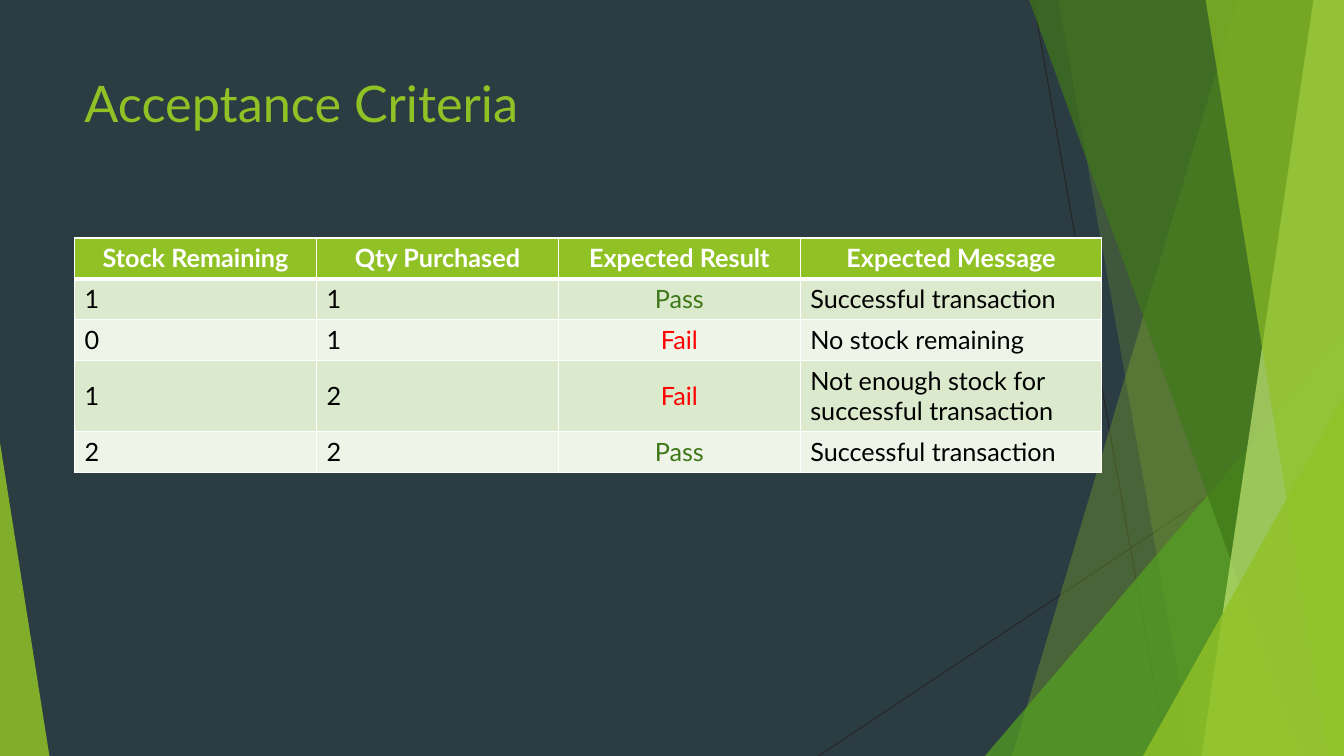
import dataclasses
import pptx
import pptx.dml.color
import pptx.enum.shapes
import pptx.enum.text
import pptx.oxml
import pptx.oxml.ns
import pptx.util

FONT = "Lato"
COLORS = {
    "back": "2C3C43", "lime": "90C226", "leaf": "54A021", "moss": "3F7819",
    "pale": "C0E474", "ink": "262626", "white": "FFFFFF", "black": "000000",
    "red": "FF0000", "odd": "DBE9CD", "even": "EEF4E8",
}
# Table: widths and heights are percent of the slide
WIDTHS = [18, 18, 18, 22.43]
HEIGHTS = [5.4, 5.4, 5.4, 9.4, 5.4]
ROWS = [
    ("Stock Remaining", "Qty Purchased", "Expected Result", "Expected Message"),
    ("1", "1", "Pass", "Successful transaction"),
    ("0", "1", "Fail", "No stock remaining"),
    ("1", "2", "Fail", "Not enough stock for successful transaction"),
    ("2", "2", "Pass", "Successful transaction"),
]
RESULTS = {"Pass": "moss", "Fail": "red"}


@dataclasses.dataclass
class Line:
    start: tuple[float, float]
    end: tuple[float, float]


@dataclasses.dataclass
class Band:
    """Full-height band from a slanted left edge to the right edge."""
    top: float
    foot: float
    color: str
    alpha: int


@dataclasses.dataclass
class Spike:
    """Triangle on the bottom edge, with its peak at one side."""
    left: float
    top: float
    width: float
    peak: float
    color: str
    alpha: int


# Back to front, in percent of the slide
DECOR = [
    Line((76.88, 0), (86.85, 100)),
    Line((100, 53.73), (60.9, 100)),
    Band(92.1, 75.3, "lime", 30),
    Band(78.75, 88.73, "lime", 20),
    Spike(73.28, 44.4, 26.72, 1, "leaf", 72),
    Band(76.58, 96.83, "moss", 70),
    Band(97.73, 89.4, "pale", 70),
    Band(89.7, 98.85, "lime", 65),
    Spike(85.05, 52.4, 14.95, 1, "lime", 80),
    Spike(0, 58.53, 3.68, 0, "lime", 85),
]

deck = pptx.Presentation()
deck.slide_width = pptx.util.Inches(13.33)
deck.slide_height = pptx.util.Inches(7.5)
slide = deck.slides.add_slide(deck.slide_layouts[6])
shapes = slide.shapes


def across(share: float) -> int:
    return round(deck.slide_width * share / 100)


def down(share: float) -> int:
    return round(deck.slide_height * share / 100)


def tint(name: str) -> pptx.dml.color.RGBColor:
    return pptx.dml.color.RGBColor.from_string(COLORS[name])


def paint(fill, color: str) -> None:
    fill.solid()
    fill.fore_color.rgb = tint(color)


def style(para, size: int, color: str, bold: bool = False) -> None:
    for run in para.runs:
        run.font.name = FONT
        run.font.size = pptx.util.Pt(size)
        run.font.bold = bold
        run.font.color.rgb = tint(color)


def glaze(shape, color: str, alpha: int) -> None:
    shape.shadow.inherit = False
    shape.line.fill.background()
    paint(shape.fill, color)
    node = shape.fill._xPr.find(".//" + pptx.oxml.ns.qn("a:srgbClr"))
    pptx.oxml.ns.qn("a:alpha")
    child = node.makeelement(pptx.oxml.ns.qn("a:alpha"), {"val": str(alpha * 1000)})
    node.append(child)


def draw_line(item: Line) -> None:
    line = shapes.add_connector(
        pptx.enum.shapes.MSO_CONNECTOR.STRAIGHT,
        across(item.start[0]), down(item.start[1]),
        across(item.end[0]), down(item.end[1]))
    line.line.color.rgb = tint("ink")
    line.line.width = pptx.util.Pt(0.75)
    props = line._element.spPr
    props.append(props.makeelement(pptx.oxml.ns.qn("a:effectLst"), {}))


def draw_band(item: Band) -> None:
    pen = shapes.build_freeform(across(item.top), 0)
    pen.add_line_segments([
        (across(100), 0), (across(100), down(100)), (across(item.foot), down(100))])
    glaze(pen.convert_to_shape(), item.color, item.alpha)


def draw_spike(item: Spike) -> None:
    shape = shapes.add_shape(
        pptx.enum.shapes.MSO_SHAPE.ISOSCELES_TRIANGLE,
        across(item.left), down(item.top), across(item.width), down(100 - item.top))
    shape.adjustments[0] = item.peak
    glaze(shape, item.color, item.alpha)


def edge(cell, side: str, width: float) -> None:
    space = pptx.oxml.ns.nsdecls("a")
    line = pptx.oxml.parse_xml(
        f'<a:{side} {space} w="{pptx.util.Pt(width)}"><a:solidFill>'
        f'<a:srgbClr val="{COLORS["white"]}"/></a:solidFill></a:{side}>')
    cell._tc.get_or_add_tcPr().append(line)


def draw_cell(cell, text: str, row: int) -> None:
    head = row == 0
    # Borders come before the fill in the cell's XML
    for side in ("lnL", "lnR", "lnT", "lnB"):
        thick = (head and side == "lnB") or (row == 1 and side == "lnT")
        edge(cell, side, 3 if thick else 1)
    paint(cell.fill, "lime" if head else "odd" if row % 2 else "even")
    cell.text_frame.text = text
    cell.vertical_anchor = (
        pptx.enum.text.MSO_ANCHOR.TOP if head else pptx.enum.text.MSO_ANCHOR.MIDDLE)
    para = cell.text_frame.paragraphs[0]
    if head or text in RESULTS:
        para.alignment = pptx.enum.text.PP_ALIGN.CENTER
    style(para, 18, "white" if head else RESULTS.get(text, "black"), head)


# Background and side decor
paint(slide.background.fill, "back")
DRAW = {Line: draw_line, Band: draw_band, Spike: draw_spike}
for item in DECOR:
    DRAW[type(item)](item)

# Title
title = shapes.add_textbox(across(5.55), down(8.93), across(70.5), down(19.2))
title.text_frame.word_wrap = True
title.text_frame.text = "Acceptance Criteria"
style(title.text_frame.paragraphs[0], 36, "lime")

# Table of cases
table = shapes.add_table(
    len(ROWS), len(WIDTHS), across(5.55), down(31.47),
    across(sum(WIDTHS)), down(sum(HEIGHTS))).table
for column, width in zip(table.columns, WIDTHS):
    column.width = across(width)
for index, (height, texts) in enumerate(zip(HEIGHTS, ROWS)):
    table.rows[index].height = down(height)
    for place, text in enumerate(texts):
        draw_cell(table.cell(index, place), text, index)

deck.save("out.pptx")
